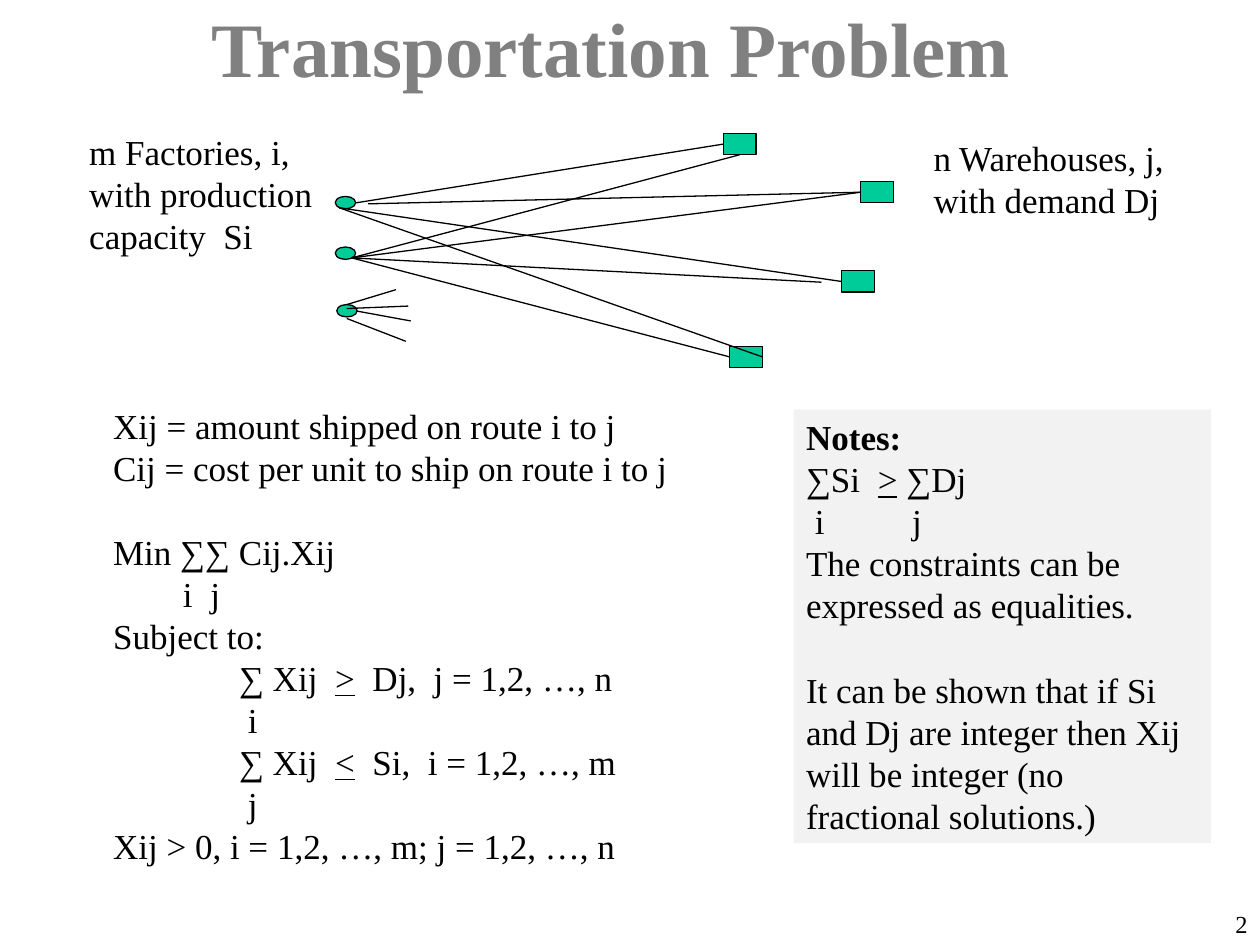
from dataclasses import dataclass

from lxml import etree
from pptx import Presentation
from pptx.dml.color import RGBColor
from pptx.enum.shapes import MSO_CONNECTOR, MSO_SHAPE
from pptx.enum.text import MSO_ANCHOR, PP_ALIGN
from pptx.oxml.ns import qn
from pptx.util import Cm, Pt

OVAL, RECT = MSO_SHAPE.OVAL, MSO_SHAPE.RECTANGLE
LINE = MSO_CONNECTOR.STRAIGHT
TOP, MID = MSO_ANCHOR.TOP, MSO_ANCHOR.MIDDLE
LEFT, RIGHT = PP_ALIGN.LEFT, PP_ALIGN.RIGHT


@dataclass(frozen=True)
class Theme:
    font: str = "Times New Roman"
    ink: RGBColor = RGBColor(0, 0, 0)
    title: RGBColor = RGBColor(0x80, 0x80, 0x80)
    node: RGBColor = RGBColor(0x00, 0xCC, 0x99)
    panel: RGBColor = RGBColor(0xF2, 0xF2, 0xF2)
    head: int = 44
    body: int = 20
    small: int = 14
    lead: int = 24
    stroke: float = 0.75


THEME = Theme()


@dataclass(frozen=True)
class Para:
    text: str               # underscores enclose underlined parts
    tabs: tuple = ()        # tab stops in cm
    gap: int = 0            # space before in points
    bold: bool = False


def set_tabs(para, stops):
    props = para._p.get_or_add_pPr()
    tabs = etree.SubElement(props, qn("a:tabLst"))
    for stop in stops:
        etree.SubElement(tabs, qn("a:tab"), pos=str(Cm(stop)), algn="l")


def write(shape, paras, size=THEME.body, color=THEME.ink,
          align=LEFT, anchor=TOP, lead=THEME.lead):
    frame = shape.text_frame
    frame.word_wrap = True
    frame.vertical_anchor = anchor
    for n, item in enumerate(paras):
        para = frame.add_paragraph() if n else frame.paragraphs[0]
        para.alignment = align
        if lead:
            para.line_spacing = Pt(lead)
        if item.gap:
            para.space_before = Pt(item.gap)
        if item.tabs:
            set_tabs(para, item.tabs)
        for k, part in enumerate(item.text.split("_")):
            run = para.add_run()
            run.text = part
            font = run.font
            font.name, font.size, font.bold = THEME.font, Pt(size), item.bold
            font.color.rgb = color
            font.underline = k % 2 == 1


def add_text(slide, box, paras, **style):
    write(slide.shapes.add_textbox(*map(Cm, box)), paras, **style)


def add_node(slide, kind, box):
    node = slide.shapes.add_shape(kind, *map(Cm, box))
    node.shadow.inherit = False
    node.fill.solid()
    node.fill.fore_color.rgb = THEME.node
    node.line.color.rgb = THEME.ink
    node.line.width = Pt(THEME.stroke)
    return node


def add_line(slide, start, end):
    line = slide.shapes.add_connector(LINE, *map(Cm, (*start, *end)))
    line.line.color.rgb = THEME.ink
    line.line.width = Pt(THEME.stroke)
    etree.SubElement(line._element.spPr, qn("a:effectLst"))
    return line


def add_title(slide, box):
    add_text(slide, box, [Para("Transportation Problem", bold=True)],
             size=THEME.head, color=THEME.title, anchor=MID, lead=0)


def add_net(slide, box):
    left, top = box

    def at(x, y):
        return left + x, top + y

    # Factories
    for spot in ((0, 1.27), (0, 2.29), (0.03, 3.45)):
        add_node(slide, OVAL, (*at(*spot), 0.41, 0.25))

    # Warehouses
    spots = ((7.82, 0), (10.59, 0.97), (10.21, 2.77), (7.95, 4.29))
    stores = [add_node(slide, RECT, (*at(*spot), 0.66, 0.43)) for spot in spots]

    # Routes: start point, warehouse, side
    low, hub = (0.08, 1.5), (0.33, 2.51)
    routes = (
        ((0.41, 1.4), 0, 1), ((0.66, 1.42), 1, 1), (low, 2, 1), (low, 3, 3),
        (hub, 0, 2), (hub, 1, 1), (hub, 3, 1),
    )
    for start, store, side in routes:
        line = add_line(slide, at(*start), at(*spots[store]))
        line.end_connect(stores[store], side)

    # Loose lines, mostly stubs of the last factory
    loose = (
        (hub, (9.8, 3)),
        ((0.23, 3.45), (1.22, 3.15)), ((0.23, 3.53), (1.47, 3.48)),
        ((0.43, 3.58), (1.52, 3.78)), ((0.23, 3.73), (1.42, 4.19)),
    )
    for start, end in loose:
        add_line(slide, at(*start), at(*end))


def add_model(slide, box):
    term, index = (2.54,), (2.72,)
    add_text(slide, box, [
        Para("Xij = amount shipped on route i to j"),
        Para("Cij = cost per unit to ship on route i to j"),
        Para("Min ∑∑ Cij.Xij", gap=THEME.lead),
        Para("\ti\tj", (1.41, 1.96)),
        Para("Subject to:"),
        Para("\t∑ Xij  _>_  Dj,  j = 1,2, …, n", term),
        Para("\ti", index),
        Para("\t∑ Xij  _<_  Si,  i = 1,2, …, m", term),
        Para("\tj", index),
        Para("Xij > 0, i = 1,2, …, m; j = 1,2, …, n"),
    ])


def add_notes(slide, box):
    panel = slide.shapes.add_shape(RECT, *map(Cm, box))
    panel.shadow.inherit = False
    panel.fill.solid()
    panel.fill.fore_color.rgb = THEME.panel
    panel.line.fill.background()
    write(panel, [
        Para("Notes:", bold=True),
        Para("∑Si  _>_ ∑Dj"),
        Para("\ti\tj", (0.18, 2.14)),
        Para("The constraints can be expressed as equalities."),
        Para("It can be shown that if Si and Dj are integer then Xij "
             "will be integer (no fractional solutions.)", gap=THEME.lead),
    ])


def main():
    deck = Presentation()
    deck.slide_width, deck.slide_height = Cm(25.4), Cm(19.05)
    slide = deck.slides.add_slide(deck.slide_layouts[6])

    add_title(slide, (4.01, 0.2, 21.39, 1.47))
    add_text(slide, (21.79, 18.21, 3.61, 0.84), [Para("2")],
             size=THEME.small, align=RIGHT, lead=0)
    add_net(slide, (6.76, 2.69))
    add_text(slide, (1.55, 2.51, 5.36, 2.79),
             [Para("m Factories, i,"), Para("with production capacity  Si")])
    add_text(slide, (18.57, 2.62, 6.25, 1.96),
             [Para("n Warehouses, j,"), Para("with demand Dj")])
    add_model(slide, (2.03, 8.03, 15.54, 9.58))
    add_notes(slide, (16, 8.26, 8.41, 8.74))
    deck.save("out.pptx")


if __name__ == "__main__":
    main()
